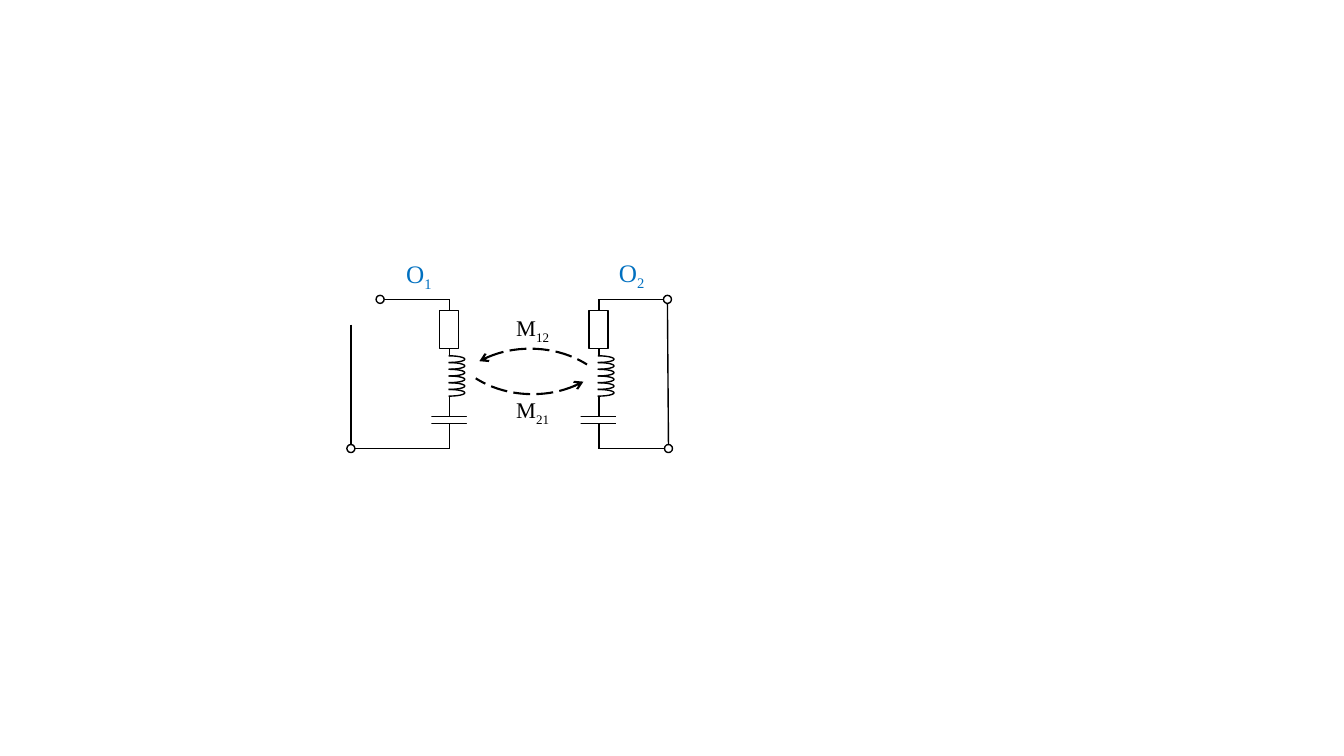
"""Build a slide with two magnetically coupled resonant circuits."""
from dataclasses import dataclass

import lxml.etree
import pptx
import pptx.dml.color
import pptx.enum.dml
import pptx.enum.shapes
import pptx.enum.text
import pptx.oxml.ns
import pptx.shapes.autoshape
import pptx.shapes.shapetree
import pptx.util

Inches = pptx.util.Inches
MSO_SHAPE = pptx.enum.shapes.MSO_SHAPE
COLORS = {"ink": "000000", "paper": "FFFFFF", "label": "0070C0"}
FONT = "Times New Roman"
TURNS = 6
COIL_TOP, COIL_HEIGHT = 3.53, 0.4
TERMINAL = 0.08


@dataclass(frozen=True)
class Wire:
    x1: float
    y1: float
    x2: float
    y2: float


@dataclass(frozen=True)
class Box:
    left: float
    top: float
    width: float
    height: float


@dataclass(frozen=True)
class Coupling:
    box: Box
    rotation: float


@dataclass(frozen=True)
class Label:
    box: Box
    symbol: str
    index: str
    size: float
    color: str
    tight: bool


WIRES = [
    Wire(3.73, 2.97, 4.45, 2.97),
    Wire(3.52, 4.45, 4.45, 4.45),
    Wire(5.93, 2.97, 6.66, 2.97),
    Wire(5.94, 4.45, 6.66, 4.45),
    Wire(6.62, 3.01, 6.63, 4.41),
    Wire(3.48, 3.22, 3.48, 4.41),
]
TERMINALS = [(3.73, 2.93), (3.44, 4.41), (6.58, 2.93), (6.59, 4.41)]
BRANCHES = [4.46, 5.94]
COUPLINGS = [
    Coupling(Box(4.37, 3.46, 1.78, 1.4), 0),
    Coupling(Box(4.39, 2.51, 1.78, 1.4), 180),
]
LABELS = [
    Label(Box(5.12, 3.12, 0.35, 0.27), "M", "12", 16, "ink", True),
    Label(Box(5.12, 3.93, 0.35, 0.27), "M", "21", 16, "ink", True),
    Label(Box(3.93, 2.51, 0.61, 0.4), "O", "1", 18, "label", False),
    Label(Box(6.04, 2.5, 0.61, 0.4), "O", "2", 18, "label", False),
]

Shapes = pptx.shapes.shapetree.GroupShapes
Shape = pptx.shapes.autoshape.Shape


def rgb(name: str) -> pptx.dml.color.RGBColor:
    return pptx.dml.color.RGBColor.from_string(COLORS[name])


def emu(box: Box) -> list[int]:
    return [Inches(v) for v in (box.left, box.top, box.width, box.height)]


def add_wire(shapes: Shapes, wire: Wire) -> None:
    ends = [Inches(v) for v in (wire.x1, wire.y1, wire.x2, wire.y2)]
    sp = shapes.add_connector(pptx.enum.shapes.MSO_CONNECTOR.STRAIGHT, *ends)
    sp.line.color.rgb = rgb("ink")
    sp.line.width = pptx.util.Pt(1)
    lxml.etree.SubElement(sp._element.spPr, pptx.oxml.ns.qn("a:effectLst"))


def add_part(shapes: Shapes, kind: MSO_SHAPE, box: Box, filled: bool = True,
             line: float = 1) -> Shape:
    sp = shapes.add_shape(kind, *emu(box))
    sp.shadow.inherit = False
    if filled:
        sp.fill.solid()
        sp.fill.fore_color.rgb = rgb("paper")
    else:
        sp.fill.background()
    if line:
        sp.line.color.rgb = rgb("ink")
        sp.line.width = pptx.util.Pt(line)
    else:
        sp.line.fill.background()
    return sp


def add_arc(shapes: Shapes, box: Box, start: float, end: float, line: float = 1) -> Shape:
    sp = add_part(shapes, MSO_SHAPE.ARC, box, filled=False, line=line)
    sp.adjustments[0] = start
    sp.adjustments[1] = end
    return sp


def add_branch(shapes: Shapes, x: float) -> None:
    rect = MSO_SHAPE.RECTANGLE
    add_wire(shapes, Wire(x, 2.97, x, 4.45))
    add_part(shapes, rect, Box(x - 0.1, 3.08, 0.19, 0.38))
    add_part(shapes, rect, Box(x - 0.1, COIL_TOP, 0.19, COIL_HEIGHT), line=0)
    add_part(shapes, rect, Box(x - 0.2, 4.13, 0.4, 0.07))
    add_part(shapes, rect, Box(x - 0.23, 4.08, 0.05, 0.13), line=0)
    add_part(shapes, rect, Box(x + 0.17, 4.11, 0.05, 0.13), line=0)
    pitch = COIL_HEIGHT / TURNS
    for turn in range(TURNS):
        add_arc(shapes, Box(x - 0.17, COIL_TOP + turn * pitch, 0.32, pitch), 162, 55.8)


def add_coupling(shapes: Shapes, coupling: Coupling) -> None:
    sp = add_arc(shapes, coupling.box, 137.23, 189.59, line=1.5)
    sp.rotation = coupling.rotation
    sp.line.dash_style = pptx.enum.dml.MSO_LINE.LONG_DASH
    ln = sp.line._get_or_add_ln()
    lxml.etree.SubElement(ln, pptx.oxml.ns.qn("a:headEnd"), type="arrow")


def add_text(shapes: Shapes, box: Box, text: str, *, sub: str, size: float,
             color: str, tight: bool) -> None:
    tf = shapes.add_textbox(*emu(box)).text_frame
    tf.word_wrap = not tight
    tf.auto_size = pptx.enum.text.MSO_AUTO_SIZE.SHAPE_TO_FIT_TEXT
    if tight:
        tf.margin_left = tf.margin_right = tf.margin_top = tf.margin_bottom = 0
    p = tf.paragraphs[0]
    for content, baseline in ((text, 0), (sub, -25000)):
        r = p.add_run()
        r.text = content
        r.font.name = FONT
        r.font.size = pptx.util.Pt(size)
        r.font.color.rgb = rgb(color)
        if baseline:
            r._r.get_or_add_rPr().set("baseline", str(baseline))


def main() -> None:
    prs = pptx.Presentation()
    prs.slide_width, prs.slide_height = Inches(13.33), Inches(7.5)
    s = prs.slides.add_slide(prs.slide_layouts[6])
    shapes = s.shapes.add_group_shape().shapes
    for wire in WIRES:
        add_wire(shapes, wire)
    for left, top in TERMINALS:
        add_part(shapes, MSO_SHAPE.OVAL, Box(left, top, TERMINAL, TERMINAL))
    for x in BRANCHES:
        add_branch(shapes, x)
    for coupling in COUPLINGS:
        add_coupling(shapes, coupling)
    for label in LABELS:
        add_text(shapes, label.box, label.symbol, sub=label.index, size=label.size,
                 color=label.color, tight=label.tight)
    prs.save("out.pptx")


if __name__ == "__main__":
    main()
